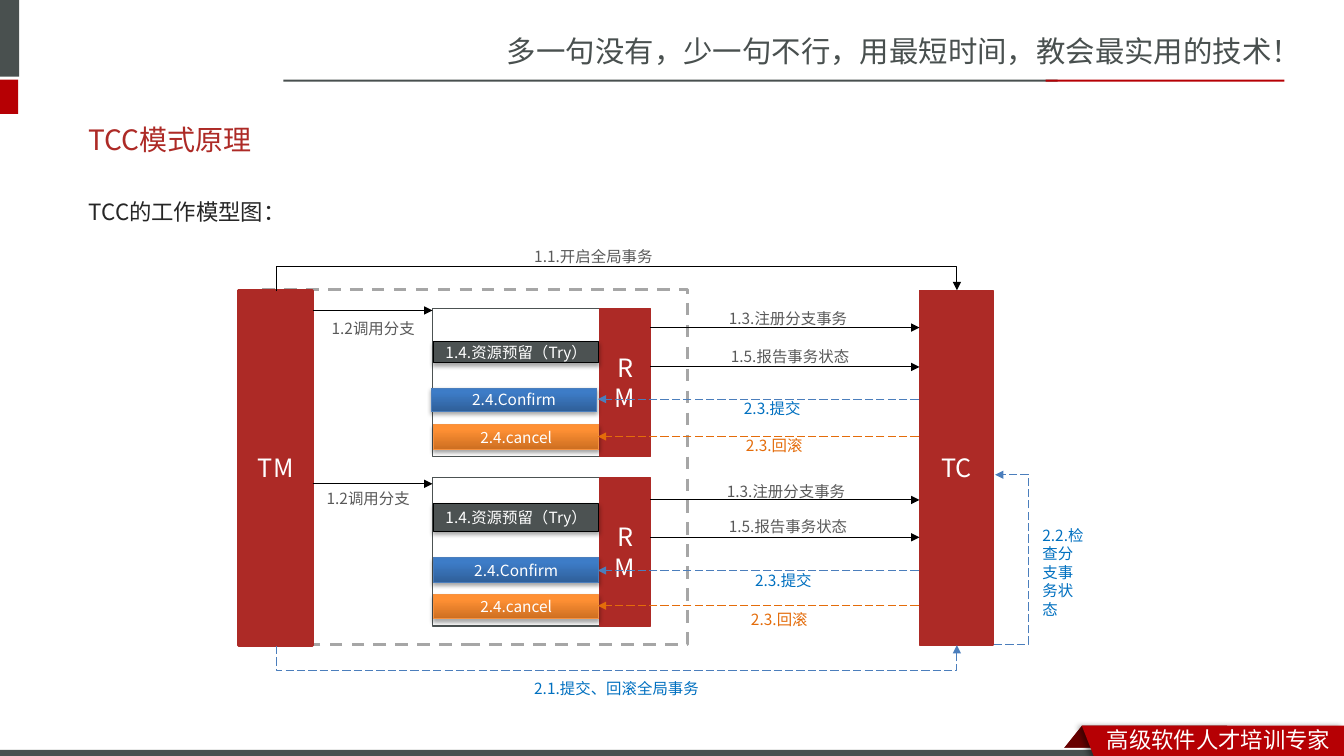
from lxml.etree import SubElement
from pptx import Presentation
from pptx.dml.color import RGBColor
from pptx.enum.dml import MSO_LINE
from pptx.enum.shapes import MSO_CONNECTOR, MSO_SHAPE
from pptx.enum.text import MSO_ANCHOR, MSO_AUTO_SIZE, PP_ALIGN
from pptx.oxml.ns import qn
from pptx.util import Inches, Pt

FONT = "Noto Sans CJK SC"
WHITE = RGBColor(0xFF, 0xFF, 0xFF)
BLACK = RGBColor(0x00, 0x00, 0x00)
SLATE = RGBColor(0x49, 0x50, 0x4F)
CHARCOAL = RGBColor(0x4C, 0x52, 0x52)
RED = RGBColor(0xB6, 0x00, 0x04)
DARK_RED = RGBColor(0x68, 0x00, 0x00)
BRICK = RGBColor(0xAD, 0x2A, 0x26)
INK = RGBColor(0x26, 0x26, 0x26)
GRAY = RGBColor(0x59, 0x59, 0x59)
LIGHT_GRAY = RGBColor(0xA6, 0xA6, 0xA6)
BLUE = RGBColor(0x00, 0x70, 0xC0)
STEEL = RGBColor(0x4B, 0x7E, 0xBC)
ORANGE = RGBColor(0xE4, 0x6C, 0x0A)
AMBER = RGBColor(0xF6, 0x92, 0x40)
BLUE_FADE = (RGBColor(0x2F, 0x5F, 0x99), RGBColor(0x3D, 0x7C, 0xC7))
ORANGE_FADE = (RGBColor(0xCC, 0x6E, 0x20), RGBColor(0xFF, 0x90, 0x34))

REGISTER = "1.3.注册分支事务"
REPORT = "1.5.报告事务状态"
COMMIT = "2.3.提交"
ROLLBACK = "2.3.回滚"

BRANCHES = [
    {
        "top": 3.06,
        "call": (3.08, 3.19, 3.12),
        "steps": [(4.3, 3.39, 0.21), (4.28, 3.85, 0.23), (4.3, 4.21, 0.25)],
        "requests": [(REGISTER, 3.25, 7.13, 3.02), (REPORT, 3.64, 7.15, 3.39)],
        "replies": [(COMMIT, 3.96, 7.28, 3.91), (ROLLBACK, 4.33, 7.3, 4.28)],
    },
    {
        "top": 4.74,
        "call": (4.8, 3.14, 4.8),
        "steps": [(4.3, 5, 0.27), (4.3, 5.53, 0.25), (4.3, 5.9, 0.24)],
        "requests": [(REGISTER, 4.96, 7.11, 4.73), (REPORT, 5.33, 7.13, 5.08)],
        "replies": [(COMMIT, 5.66, 7.39, 5.62), (ROLLBACK, 6.01, 7.35, 6)],
    },
]
STEP_STYLES = [
    ("1.4.资源预留（Try）", CHARCOAL, BLACK),
    ("2.4.Confirm", BLUE_FADE, STEEL),
    ("2.4.cancel", ORANGE_FADE, AMBER),
]
REPLY_COLORS = [(STEEL, BLUE), (ORANGE, ORANGE)]


def write(tf, text, size, color, align=PP_ALIGN.LEFT, **frame):
    for name, value in {"word_wrap": True, "auto_size": MSO_AUTO_SIZE.NONE, **frame}.items():
        setattr(tf, name, value)
    p = tf.paragraphs[0]
    p.alignment = align
    r = p.add_run()
    r.text = text
    for name, value in {"name": FONT, "size": Pt(size), "bold": False}.items():
        setattr(r.font, name, value)
    r.font.color.rgb = color
    SubElement(r.font._element, qn("a:ea")).set("typeface", FONT)
    return p


def add_label(s, box, text, color=GRAY, size=11):
    sp = s.shapes.add_textbox(*map(Inches, box))
    write(sp.text_frame, text, size, color)


def paint(sp, fill, line=None, weight=1):
    sp.shadow.inherit = False
    if fill is None:
        sp.fill.background()
    elif isinstance(fill, RGBColor):
        sp.fill.solid()
        sp.fill.fore_color.rgb = fill
    else:
        sp.fill.gradient()
        sp.fill.gradient_angle = 90
        for stop, color, position in zip(sp.fill.gradient_stops, fill, (0, 0.8)):
            stop.color.rgb = color
            stop.position = position
    if line is None:
        sp.line.fill.background()
    else:
        sp.line.color.rgb = line
        sp.line.width = Pt(weight)


def add_box(s, box, fill, line=None, weight=1, kind=MSO_SHAPE.RECTANGLE):
    sp = s.shapes.add_shape(kind, *map(Inches, box))
    paint(sp, fill, line, weight)
    return sp


def add_role(s, box, text, weight=1):
    sp = add_box(s, box, BRICK, BRICK, weight)
    write(sp.text_frame, text, 18, WHITE, PP_ALIGN.CENTER)


def add_shadow(sp, alpha, blur, distance, angle):
    effects = sp._element.spPr.find(qn("a:effectLst"))
    shadow = SubElement(effects, qn("a:outerShdw"))
    values = {"blurRad": Pt(blur), "dist": Pt(distance), "dir": angle * 60000, "rotWithShape": 0}
    for name, value in values.items():
        shadow.set(name, str(value))
    color = SubElement(shadow, qn("a:srgbClr"))
    color.set("val", str(BLACK))
    SubElement(color, qn("a:alpha")).set("val", str(alpha * 1000))


def add_step(s, box, text, fill, line):
    sp = add_box(s, box, fill, line, 0.75)
    add_shadow(sp, 35, 3.1, 1.8, 90)
    write(sp.text_frame, text, 11, WHITE, PP_ALIGN.CENTER, margin_left=0, margin_right=0)


def add_arrow(s, start, end, color=BLACK, dashed=False, kind=MSO_CONNECTOR.STRAIGHT):
    cx = s.shapes.add_connector(kind, *map(Inches, start + end))
    cx.line.color.rgb = color
    cx.line.width = Pt(0.75)
    if dashed:
        cx.line.dash_style = MSO_LINE.LONG_DASH
    SubElement(cx.line._get_or_add_ln(), qn("a:tailEnd")).set("type", "triangle")
    SubElement(cx._element.spPr, qn("a:effectLst"))
    return cx


def add_bent_arrow(s, start, end, bend, turned=False, color=BLACK, dashed=False):
    cx = add_arrow(s, start, end, color, dashed, MSO_CONNECTOR.ELBOW)
    spPr = cx._element.spPr
    if turned:
        spPr.find(qn("a:xfrm")).set("rot", "5400000")
    geom = spPr.find(qn("a:prstGeom"))
    guides = geom.find(qn("a:avLst"))
    if guides is None:
        guides = SubElement(geom, qn("a:avLst"))
    guide = SubElement(guides, qn("a:gd"))
    guide.set("name", "adj1")
    guide.set("fmla", f"val {bend * 100000}")


def add_frame(s):
    add_box(s, (10.49, 7.2, 1.68, 0.3), DARK_RED, kind=MSO_SHAPE.PARALLELOGRAM).adjustments[0] = 0.8
    for box, color in [
        ((0, 7.42, 13.33, 0.11), WHITE),
        ((-0.06, 0, 0.25, 0.76), SLATE),
        ((-0.06, 0.79, 0.24, 0.34), RED),
        ((2.81, 0.79, 7.68, 0.02), SLATE),
        ((10.37, 0.79, 2.37, 0.02), RED),
        ((0, 7.44, 10.99, 0.09), SLATE),
    ]:
        add_box(s, box, color)
    corners = [tuple(map(Inches, c)) for c in [(10.73, 7.2), (13.33, 7.2), (13.33, 7.54), (10.86, 7.53)]]
    builder = s.shapes.build_freeform(*corners[0])
    builder.add_line_segments(corners[1:], close=True)
    ribbon = builder.convert_to_shape()
    paint(ribbon, RED)
    add_shadow(ribbon, 40, 4, 3, 180)
    add_label(s, (4.93, 0.28, 8.41, 0.47), "多一句没有，少一句不行，用最短时间，教会最实用的技术！", SLATE, 21)
    add_label(s, (10.88, 7.15, 2.45, 0.37), "高级软件人才培训专家", WHITE, 16)


def fill_placeholder(sp, box, text, size, color, anchor):
    for name, value in zip(("left", "top", "width", "height"), box):
        setattr(sp, name, Inches(value))
    return write(sp.text_frame, text, size, color, vertical_anchor=anchor)


def add_branch(s, branch):
    top = branch["top"]
    add_box(s, (4.29, top, 1.91, 1.47), None, CHARCOAL)
    add_role(s, (5.95, top, 0.5, 1.47), "RM")
    y, left, label_top = branch["call"]
    add_arrow(s, (3.1, y), (4.29, y))
    add_label(s, (left, label_top, 1.11, 0.29), "1.2调用分支")
    for (left, step_top, height), style in zip(branch["steps"], STEP_STYLES):
        add_step(s, (left, step_top, 1.64, height), *style)
    for text, y, left, label_top in branch["requests"]:
        add_arrow(s, (6.45, y), (9.12, y))
        add_label(s, (left, label_top, 1.49, 0.29), text)
    for (text, y, left, label_top), (line, color) in zip(branch["replies"], REPLY_COLORS):
        add_arrow(s, (9.11, y), (5.93, y), line, dashed=True)
        add_label(s, (left, label_top, 1.49, 0.29), text, color)


def main():
    prs = Presentation()
    prs.slide_width, prs.slide_height = Inches(13.33), Inches(7.5)
    s = prs.slides.add_slide(prs.slide_layouts[1])
    add_frame(s)
    title, body = s.placeholders
    fill_placeholder(title, (0.78, 1.1, 11.7, 0.57), "TCC模式原理", 20, BRICK, MSO_ANCHOR.MIDDLE)
    p = fill_placeholder(body, (0.78, 1.78, 11.7, 0.51), "TCC的工作模型图：", 16, INK, MSO_ANCHOR.TOP)
    pPr = p._p.get_or_add_pPr()
    pPr.set("marL", "0")
    pPr.set("indent", "0")
    SubElement(pPr, qn("a:buNone"))
    p.line_spacing = 1.5
    p.space_before = Pt(0)

    scope = add_box(s, (2.58, 2.87, 4.24, 3.52), None, LIGHT_GRAY, 2.25)
    scope.line.dash_style = MSO_LINE.DASH
    add_role(s, (2.37, 2.88, 0.73, 3.52), "TM", 2.25)
    add_role(s, (9.12, 2.88, 0.73, 3.52), "TC")
    for branch in BRANCHES:
        add_branch(s, branch)

    add_bent_arrow(s, (6.12, 6.26), (6.11, -0.49), 25, turned=True)
    add_bent_arrow(s, (6.12, 9.78), (6.11, 3.03), -25, True, STEEL, True)
    add_bent_arrow(s, (9.86, 6.39), (9.87, 4.71), 35, False, STEEL, True)
    add_label(s, (5.2, 2.4, 1.49, 0.29), "1.1.开启全局事务")
    add_label(s, (5.2, 6.69, 2.46, 0.29), "2.1.提交、回滚全局事务", BLUE)
    add_label(s, (10.24, 5.17, 0.61, 1.03), "2.2.检查分支事务状态", BLUE)
    prs.save("out.pptx")


if __name__ == "__main__":
    main()
